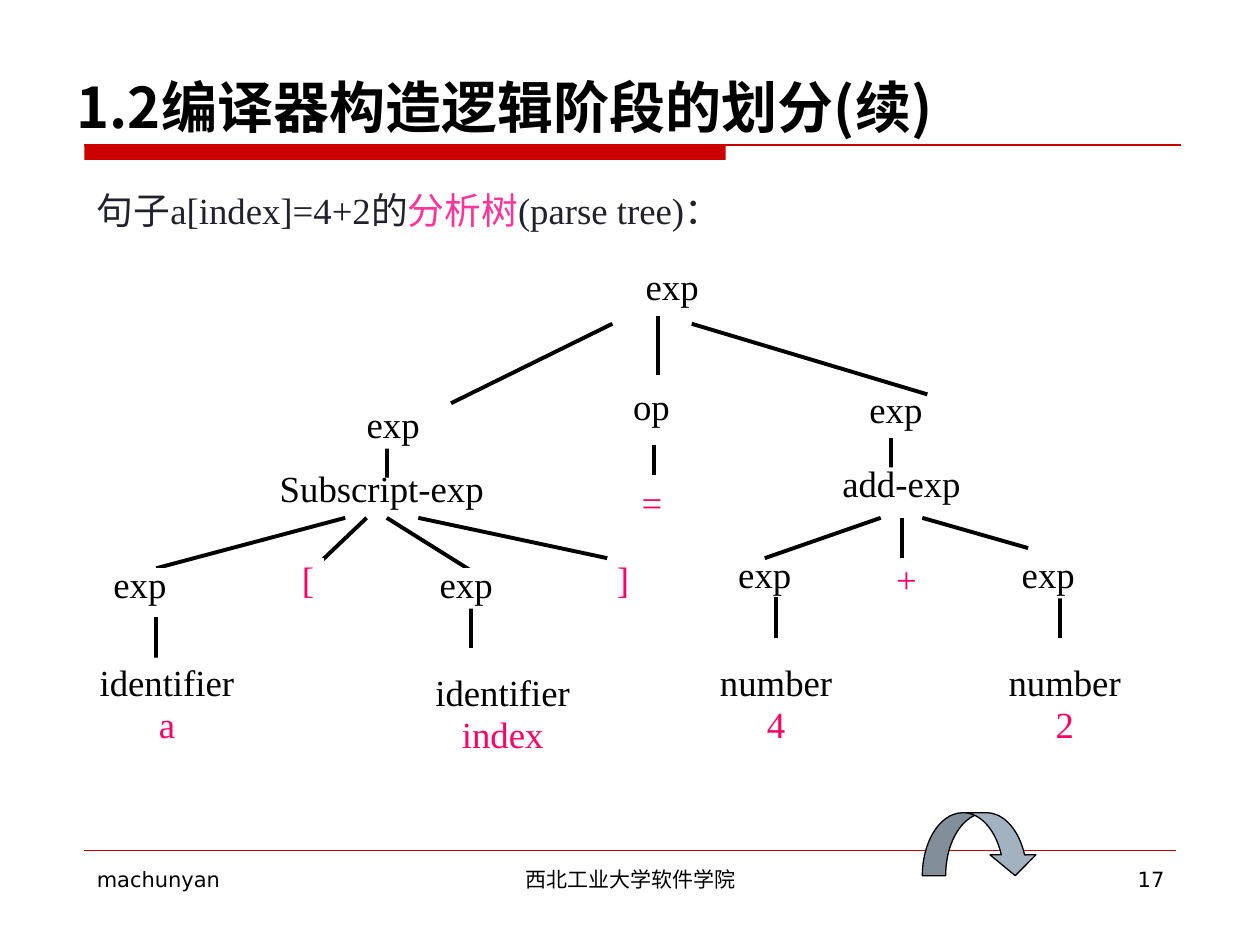
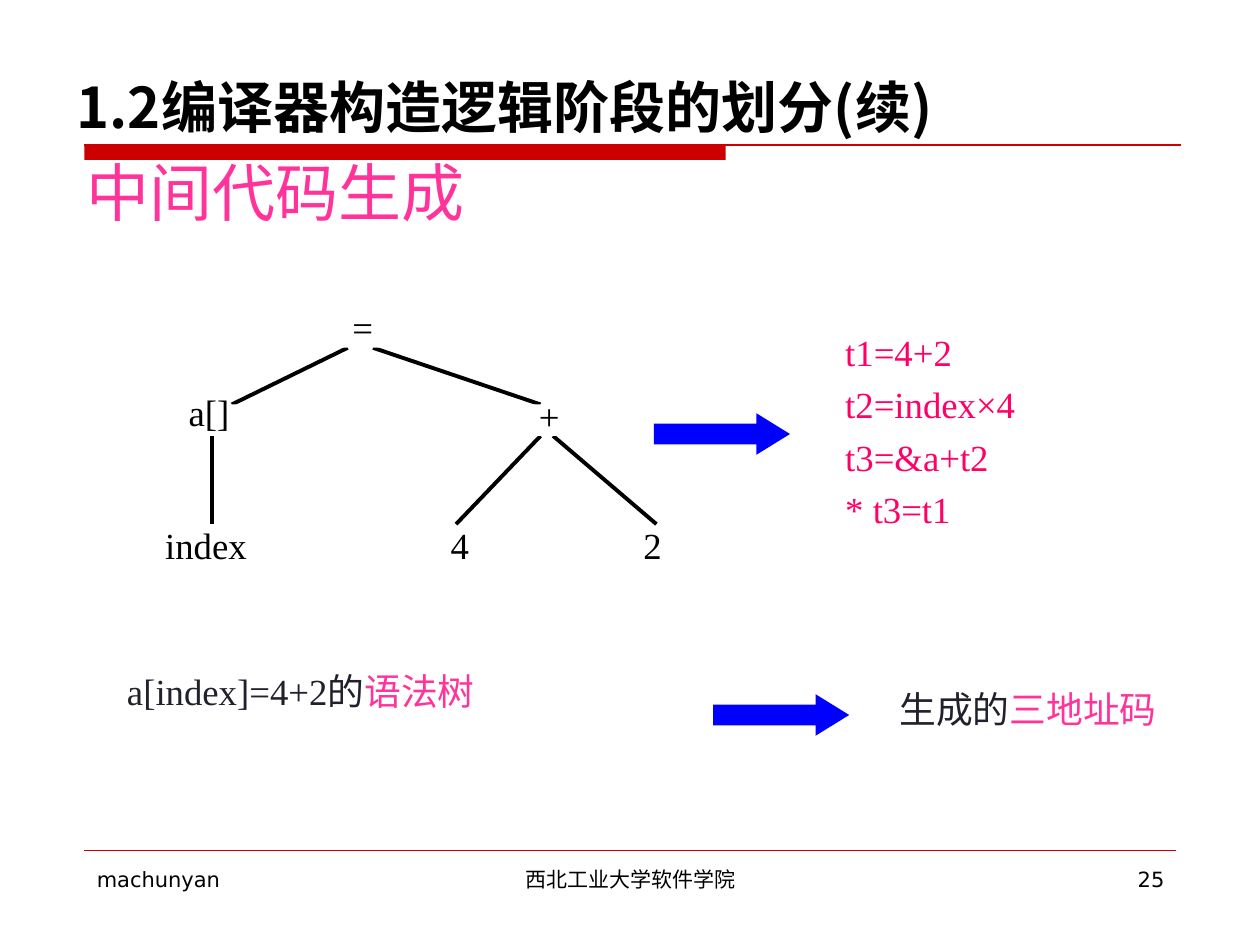
from lxml import etree
from pptx import Presentation
from pptx import util as u
from pptx.dml.color import RGBColor
from pptx.enum import lang, shapes, text
from pptx.oxml.ns import qn

BLACK, WHITE, RED, BLUE = "000000", "FFFFFF", "CC0000", "0000FF"
INK, PINK, ROSE = "21212D", "FF3399", "FF0066"
TIMES, SANS, JP, SC = "Times New Roman", "DejaVu Sans", "Noto Sans CJK JP", "Noto Sans CJK SC"
LEFT, MID, RIGHT = text.PP_ALIGN.LEFT, text.PP_ALIGN.CENTER, text.PP_ALIGN.RIGHT
TOP, HALF, BASE = text.MSO_ANCHOR.TOP, text.MSO_ANCHOR.MIDDLE, text.MSO_ANCHOR.BOTTOM
KIND = shapes.MSO_SHAPE

deck = Presentation()
deck.slide_width, deck.slide_height = u.Inches(10), u.Inches(7.5)
COL, ROW = deck.slide_width / 100, deck.slide_height / 75
hue = RGBColor.from_string


def link(page, x1, y1, x2, y2, color=BLACK, width=2.25):
    rule = page.shapes.add_connector(
        shapes.MSO_CONNECTOR.STRAIGHT,
        int(x1 * COL), int(y1 * ROW), int(x2 * COL), int(y2 * ROW))
    rule.line.color.rgb = hue(color)
    rule.line.width = u.Pt(width)
    etree.SubElement(rule._element.spPr, qn("a:effectLst"))


def put(page, box, paras=(), fill=None, kind=None, align=LEFT, anchor=TOP,
        size=21, face=TIMES, bold=False, lead=0.75, gap=5):
    x, y, w, h = box
    area = int(x * COL), int(y * ROW), int(w * COL), int(h * ROW)
    if fill:
        item = page.shapes.add_shape(kind or KIND.RECTANGLE, *area)
        item.shadow.inherit = False
        item.fill.solid()
        item.fill.fore_color.rgb = hue(fill)
        item.line.fill.background()
    else:
        item = page.shapes.add_textbox(*area)
    frame = item.text_frame
    frame.word_wrap = not (fill and align == MID)
    frame.vertical_anchor = anchor
    for i, runs in enumerate(paras):
        para = frame.add_paragraph() if i else frame.paragraphs[0]
        para.alignment = align
        para.line_spacing = lead
        if i:
            para.space_before = u.Pt(gap)
        for words, color in runs:
            run = para.add_run()
            run.text = words
            font = run.font
            font.size, font.bold, font.name = u.Pt(size), bold, face
            font.color.rgb = hue(color)
            font.language_id = lang.MSO_LANGUAGE_ID.SIMPLIFIED_CHINESE
            east = etree.SubElement(font._element, qn("a:ea"))
            east.set("typeface", face if face in (JP, SC) else SC)
    return item


pages = []
for num in ("17", "25"):
    page = deck.slides.add_slide(deck.slide_layouts[6])
    pages.append(page)
    put(page, (6.7, 11.5, 50.9, 1.2), fill=RED)
    link(page, 6.7, 11.5, 93.7, 11.5, RED, 0.75)
    link(page, 6.7, 67.5, 93.3, 67.5, RED, 0.25)
    for x, w, words, align in ((6.7, 21.7, "machunyan", LEFT),
                               (34.2, 31.7, "西北工业大学软件学院", MID),
                               (71.7, 21.7, num, RIGHT)):
        put(page, (x, 68.3, w, 5.2), [[(words, BLACK)]], align=align,
            size=12, face=SANS, lead=1)
    put(page, (5.1, 5.5, 81.2, 6.1), [[("1.2编译器构造逻辑阶段的划分(续)", BLACK)]],
        anchor=BASE, size=32, face=JP, bold=True, lead=1)

parse, code = pages

parse_links = (
    (48.6, 25.7, 35.8, 32), (52.2, 25.1, 52.2, 29.8), (54.9, 25.7, 73.6, 31.3),
    (51.9, 35.3, 51.9, 37.7), (30.7, 35.5, 30.7, 38.7), (70.7, 34.8, 70.7, 37.9),
    (27.4, 41.1, 12.4, 45.1), (29.1, 41.1, 24.9, 45.1),
    (30.7, 41.1, 38.2, 45.8), (33.2, 41.1, 48.2, 44.3),
    (69.9, 41.1, 60.7, 44.3), (71.6, 41.1, 71.6, 44.3), (73.2, 41.1, 81.6, 43.5),
    (12.4, 49, 12.4, 52.2), (37.4, 48.2, 37.4, 51.4),
    (61.6, 47.4, 61.6, 50.6), (84.1, 47.4, 84.1, 50.6))
parse_nodes = (
    (47.2, 21.7, 12.3, 2.7, "exp", BLACK), (46.7, 30.6, 10, 4, "op", BLACK),
    (48.4, 39.4, 6.7, 1.6, "=", ROSE), (26.6, 32.4, 9.2, 3.2, "exp", BLACK),
    (65.7, 31.6, 10.8, 2.4, "exp", BLACK),
    (19.9, 37.9, 20.8, 2.4, "Subscript-exp", BLACK),
    (64.9, 37.1, 13.3, 3.2, "add-exp", BLACK),
    (23.2, 44.3, 2.5, 4, "[", ROSE), (48.2, 44.3, 2.5, 4, "]", ROSE),
    (70.7, 44.3, 2.5, 4, "+", ROSE), (5.7, 45.1, 10.8, 3.2, "exp", BLACK),
    (32.4, 45.1, 9.2, 3.2, "exp", BLACK), (55.7, 45.1, 10, 1.6, "exp", BLACK),
    (78.2, 44.3, 10, 3.2, "exp", BLACK))
code_links = (
    (27.6, 27.6, 18.4, 32.1), (29.6, 27.6, 42.9, 32.1), (16.8, 34.6, 16.8, 41.6),
    (42.9, 34.6, 36.2, 41.6), (43.9, 34.6, 52.1, 41.6))
code_nodes = (
    (25.5, 25.1, 6.6, 2.5, "=", BLACK), (13.8, 32.1, 5.6, 2, "a[]", BLACK),
    (41.3, 32.1, 4.6, 2.5, "+", BLACK), (34.2, 42.1, 4.6, 3, "4", BLACK),
    (49.5, 42.6, 4.6, 2, "2", BLACK), (13.3, 42.1, 6.1, 3, "index", BLACK))

for page, links, nodes in ((parse, parse_links, parse_nodes),
                           (code, code_links, code_nodes)):
    for ends in links:
        link(page, *ends)
    for *box, words, color in nodes:
        put(page, box, [[(words, color)]], fill=WHITE, align=MID, anchor=HALF)

for x, y, w, name, leaf in ((4.9, 52.2, 16.7, "identifier", "a"),
                            (29.9, 53, 20, "identifier", "index"),
                            (51.6, 52.2, 20, "number", "4"),
                            (74.9, 52.2, 19.2, "number", "2")):
    put(parse, (x, y, w, 7.9), [[(name, BLACK)], [(leaf, ROSE)]],
        fill=WHITE, align=MID, anchor=HALF)

put(parse, (6.7, 13.9, 89.8, 6.3),
    [[("句子a[index]=4+2的", INK), ("分析树", PINK), ("(parse tree)：", INK)]],
    fill=WHITE, anchor=HALF)
curve = put(parse, (73.2, 64.5, 9.2, 5), fill="A3B2C1", kind=KIND.CURVED_DOWN_ARROW)
for i, share in enumerate((0.37, 0.73, 0.33)):
    curve.adjustments[i] = share
curve.line.color.rgb = hue(BLACK)
curve.line.width = u.Pt(0.75)

for x, y in ((51.9, 32.8), (56.6, 55.1)):
    arrow = put(code, (x, y, 10.8, 3.3), fill=BLUE, kind=KIND.RIGHT_ARROW)
    arrow.adjustments[0], arrow.adjustments[1] = 0.5, 0.81
put(code, (5.9, 13.1, 47.5, 7.6), [[("中间代码生成", PINK)]], size=36, face=JP)
put(code, (9.1, 53.4, 57, 6.3), [[("a[index]=4+2的", INK), ("语法树", PINK)]])
put(code, (70.4, 54.8, 23.3, 3.7), [[("生成的", INK), ("三地址码", PINK)]], face=SC)
steps = ("t1=4+2", "t2=index×4", "t3=&a+t2", "* t3=t1")
put(code, (66.1, 26.5, 24.5, 16.9), [[(step, ROSE)] for step in steps], gap=11)

deck.save("out.pptx")
